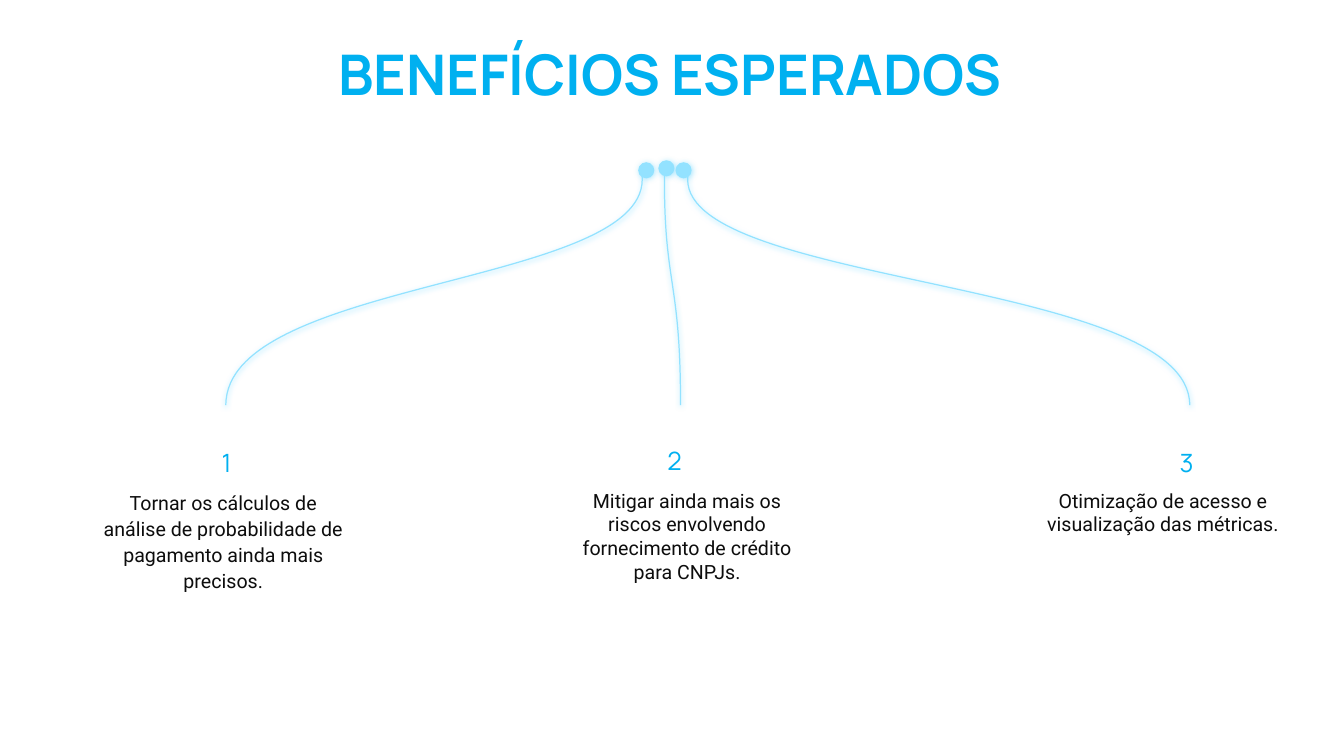
from dataclasses import dataclass

import lxml.etree
import pptx
import pptx.dml.color
import pptx.enum.shapes
import pptx.enum.text
import pptx.oxml.ns
import pptx.util

PX = 9144
COLORS = {"title": "00B0F0", "glow": "93E2FF", "body": "0D0D0D"}
DOT_SIZE = 16
BRANCH_TOP, BRANCH_BOTTOM = 171, 402
BODY_TOP, BODY_WIDTH = 480, 261


@dataclass
class Benefit:
    number: str
    text: str
    root_x: int
    tip_x: int
    dot_left: int
    dot_top: int
    number_left: int
    number_top: int
    number_width: int
    number_wrap: bool
    body_left: int
    body_height: int
    line_spacing: float


BENEFITS = [
    Benefit("1", "Tornar os cálculos de análise de probabilidade de pagamento ainda mais precisos.",
            637, 224, 633, 161, 210, 439, 28, False, 91, 112, 1.1),
    Benefit("2", "Mitigar ainda mais os riscos envolvendo fornecimento de crédito para CNPJs.",
            659, 675, 653, 159, 652, 437, 28, True, 551, 81, 1.0),
    Benefit("3", "Otimização de acesso e visualização das métricas.",
            682, 1180, 670, 161, 1160, 439, 35, False, 1023, 57, 1.0),
]


def px(value: int) -> pptx.util.Emu:
    return pptx.util.Emu(value * PX)


def rgb(name: str) -> pptx.dml.color.RGBColor:
    return pptx.dml.color.RGBColor.from_string(COLORS[name])


def add_glow(sp, alpha: int, angle: int) -> None:
    qn = pptx.oxml.ns.qn
    sp.shadow.inherit = False
    effects = sp._element.spPr.find(qn("a:effectLst"))
    shadow = lxml.etree.SubElement(
        effects, qn("a:outerShdw"), blurRad=str(pptx.util.Pt(4)),
        dist=str(pptx.util.Pt(1)), dir=str(angle * 60000), algn="ctr", rotWithShape="0")
    color = lxml.etree.SubElement(shadow, qn("a:srgbClr"), val=COLORS["glow"])
    lxml.etree.SubElement(color, qn("a:alpha"), val=str(alpha * 1000))


def add_branch(s, root_x: int, tip_x: int) -> None:
    qn = pptx.oxml.ns.qn
    builder = s.shapes.build_freeform(tip_x, BRANCH_BOTTOM, scale=PX)
    builder.add_line_segments(
        [(tip_x, 277), (root_x, 284), (root_x, 178)] + [(root_x, BRANCH_TOP)] * 3,
        close=False)
    sp = builder.convert_to_shape()
    path = next(sp._element.iter(qn("a:path")))
    segments = path.findall(qn("a:lnTo"))
    for start in range(0, len(segments), 3):
        curve = lxml.etree.SubElement(path, qn("a:cubicBezTo"))
        for segment in segments[start:start + 3]:
            curve.append(segment[0])
            path.remove(segment)
    sp.fill.background()
    sp.line.color.rgb = rgb("glow")
    sp.line.width = pptx.util.Pt(0.88)
    add_glow(sp, 100, 90)


def add_dot(s, left: int, top: int) -> None:
    sp = s.shapes.add_shape(pptx.enum.shapes.MSO_SHAPE.OVAL,
                            px(left), px(top), px(DOT_SIZE), px(DOT_SIZE))
    sp.fill.solid()
    sp.fill.fore_color.rgb = rgb("glow")
    sp.line.fill.background()
    add_glow(sp, 72, 45)


def add_text(s, text: str, left: int, top: int, width: int, height: int, font: str,
             size: int, color: str, bold: bool = False, centered: bool = True,
             wrap: bool = True, line_spacing: float = 1.0) -> None:
    sp = s.shapes.add_textbox(px(left), px(top), px(width), px(height))
    tf = sp.text_frame
    tf.word_wrap = wrap
    tf.auto_size = pptx.enum.text.MSO_AUTO_SIZE.SHAPE_TO_FIT_TEXT
    p = tf.paragraphs[0]
    p.text = text
    align = pptx.enum.text.PP_ALIGN
    p.alignment = align.CENTER if centered else align.LEFT
    p.line_spacing = line_spacing
    p.font.name = font
    p.font.size = pptx.util.Pt(size)
    p.font.bold = bold
    p.font.color.rgb = rgb(color)


def main() -> None:
    prs = pptx.Presentation()
    prs.slide_width, prs.slide_height = px(1333), px(750)
    s = prs.slides.add_slide(prs.slide_layouts[6])
    add_text(s, "BENEFÍCIOS ESPERADOS", -2, 34, 1333, 77, "Manrope", 40, "title", bold=True)
    for b in BENEFITS:
        add_branch(s, b.root_x, b.tip_x)
        add_dot(s, b.dot_left, b.dot_top)
        add_text(s, b.number, b.number_left, b.number_top, b.number_width, 40,
                 "Manrope", 18, "title", centered=False, wrap=b.number_wrap)
        add_text(s, b.text, b.body_left, BODY_TOP, BODY_WIDTH, b.body_height,
                 "Roboto", 14, "body", line_spacing=b.line_spacing)
    prs.save("out.pptx")


if __name__ == "__main__":
    main()
